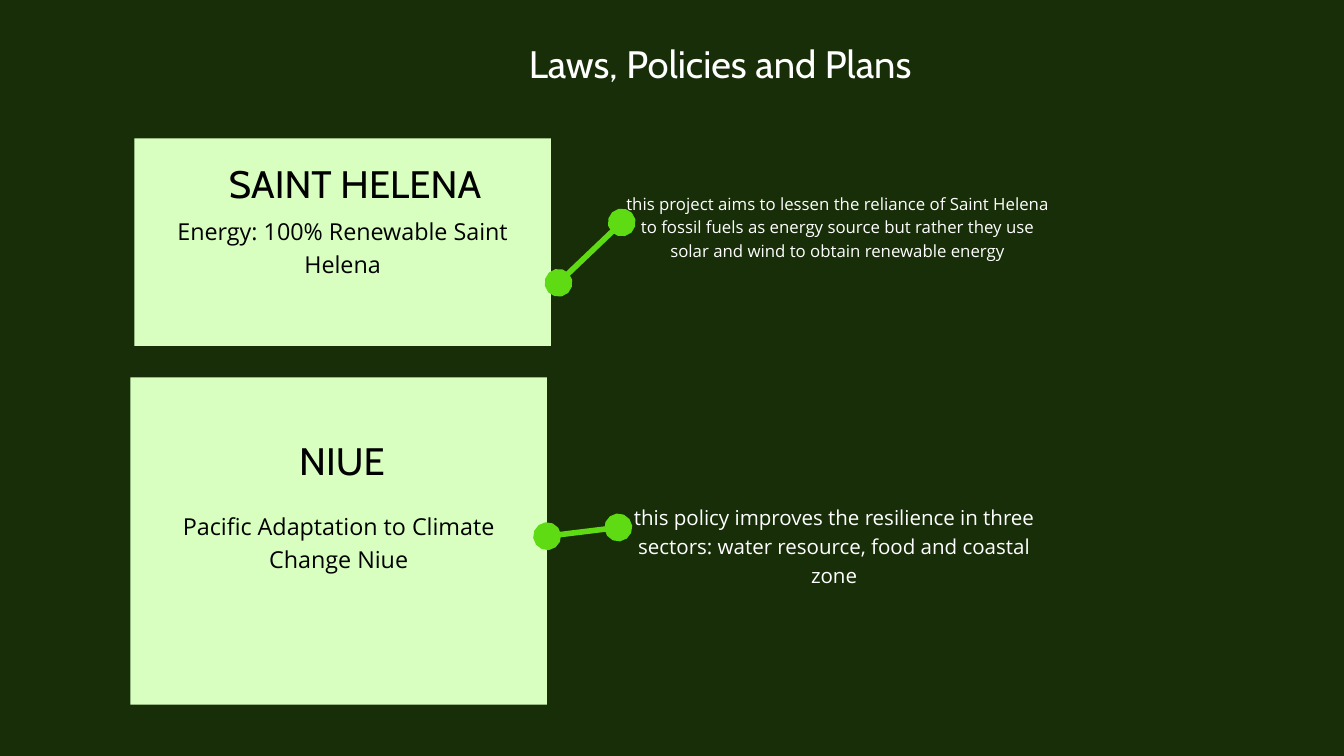
"""Builds the slide on laws, policies and plans of Saint Helena and Niue."""
from lxml import etree
from pptx import Presentation
from pptx.dml.color import RGBColor
from pptx.enum.shapes import MSO_CONNECTOR, MSO_SHAPE
from pptx.enum.text import MSO_ANCHOR, MSO_AUTO_SIZE, PP_ALIGN
from pptx.oxml.ns import qn
from pptx.util import Cm, Pt

RECTANGLE = MSO_SHAPE.RECTANGLE
STRAIGHT = MSO_CONNECTOR.STRAIGHT
TOP = MSO_ANCHOR.TOP
NO_AUTOFIT = MSO_AUTO_SIZE.NONE
CENTER = PP_ALIGN.CENTER

DARK_GREEN = RGBColor(0x17, 0x2E, 0x08)
PALE_GREEN = RGBColor(0xD8, 0xFF, 0xC0)
BRIGHT_GREEN = RGBColor(0x5E, 0xDB, 0x12)
WHITE = RGBColor(0xFF, 0xFF, 0xFF)
BLACK = RGBColor(0, 0, 0)

HEADING_FONT, BODY_FONT = "Cabin", "Open Sans"
HEADING_SIZE, POLICY_SIZE = 41, 25
TITLE_ONLY = 5
TITLE_BOX = (18.59, 1.22, 17.27, 1.93)

COUNTRIES = [
    {
        "panel": (5.08, 5.23, 15.74, 7.85),
        "name": ("SAINT HELENA", (8.23, 5.77, 10.39, 1.93)),
        "policy": ("Energy: 100% Renewable Saint Helena", (5.89, 8.03, 14.12, 2.41)),
        "aim": ("this project aims to lessen the reliance of Saint Helena to fossil "
                "fuels as energy source but rather they use solar and wind to obtain "
                "renewable energy", (23.5, 7.19, 16.31, 2.57)),
        "aim_size": 18,
        "link": (21.11, 10.69, 23.5, 8.41),
    },
    {
        "panel": (4.93, 14.27, 15.74, 12.37),
        "name": ("NIUE", (11.15, 16.23, 3.56, 1.93)),
        "policy": ("Pacific Adaptation to Climate Change Niue", (5.74, 19.18, 14.12, 2.41)),
        "aim": ("this policy improves the resilience in three sectors: water resource, "
                "food and coastal zone", (23.37, 18.95, 16.31, 2.11)),
        "aim_size": 22,
        "link": (20.68, 20.27, 23.37, 19.94),
    },
]


def in_cm(values):
    """Return the values as lengths in centimetres."""
    return [Cm(value) for value in values]


def write(frame, words, font_name, size, color):
    """Write one centred paragraph with line spacing of 1.4 times its size."""
    frame.margin_left = frame.margin_right = frame.margin_top = frame.margin_bottom = 0
    frame.word_wrap = True
    frame.auto_size = NO_AUTOFIT
    frame.vertical_anchor = TOP
    frame.text = words
    paragraph = frame.paragraphs[0]
    paragraph.alignment = CENTER
    paragraph.line_spacing = Pt(size * 1.4)
    paragraph.space_before = Pt(0)
    font = paragraph.runs[0].font
    font.name = font_name
    font.size = Pt(size)
    font.color.rgb = color


def set_title(slide, words):
    """Place and fill the title placeholder."""
    title = slide.shapes.title
    title.left, title.top, title.width, title.height = in_cm(TITLE_BOX)
    write(title.text_frame, words, HEADING_FONT, HEADING_SIZE, WHITE)


def add_text(slide, content, font_name, size, color):
    """Add a text box from a pair of words and box."""
    words, box = content
    text_box = slide.shapes.add_textbox(*in_cm(box))
    write(text_box.text_frame, words, font_name, size, color)


def add_panel(slide, box):
    """Add a pale green panel without outline."""
    panel = slide.shapes.add_shape(RECTANGLE, *in_cm(box))
    panel.shadow.inherit = False
    panel.fill.solid()
    panel.fill.fore_color.rgb = PALE_GREEN
    panel.line.fill.background()


def add_link(slide, ends):
    """Add a bright line with a large dot at each end."""
    link = slide.shapes.add_connector(STRAIGHT, *in_cm(ends))
    link.line.color.rgb = BRIGHT_GREEN
    link.line.width = Pt(6)
    properties = link._element.spPr
    outline = properties.find(qn("a:ln"))
    for end in ("a:headEnd", "a:tailEnd"):
        etree.SubElement(outline, qn(end), type="oval", w="lg", len="lg")
    etree.SubElement(properties, qn("a:effectLst"))


def add_country(slide, country):
    """Add a country's panel, policy, aim and the link between them."""
    add_panel(slide, country["panel"])
    add_text(slide, country["policy"], BODY_FONT, POLICY_SIZE, BLACK)
    add_text(slide, country["aim"], BODY_FONT, country["aim_size"], WHITE)
    add_link(slide, country["link"])
    add_text(slide, country["name"], HEADING_FONT, HEADING_SIZE, BLACK)


def main():
    """Build and save the presentation."""
    presentation = Presentation()
    presentation.slide_width, presentation.slide_height = in_cm((50.8, 28.58))
    slide = presentation.slides.add_slide(presentation.slide_layouts[TITLE_ONLY])
    slide.background.fill.solid()
    slide.background.fill.fore_color.rgb = DARK_GREEN
    set_title(slide, "Laws, Policies and Plans")
    for country in COUNTRIES:
        add_country(slide, country)
    presentation.save("out.pptx")


if __name__ == "__main__":
    main()
